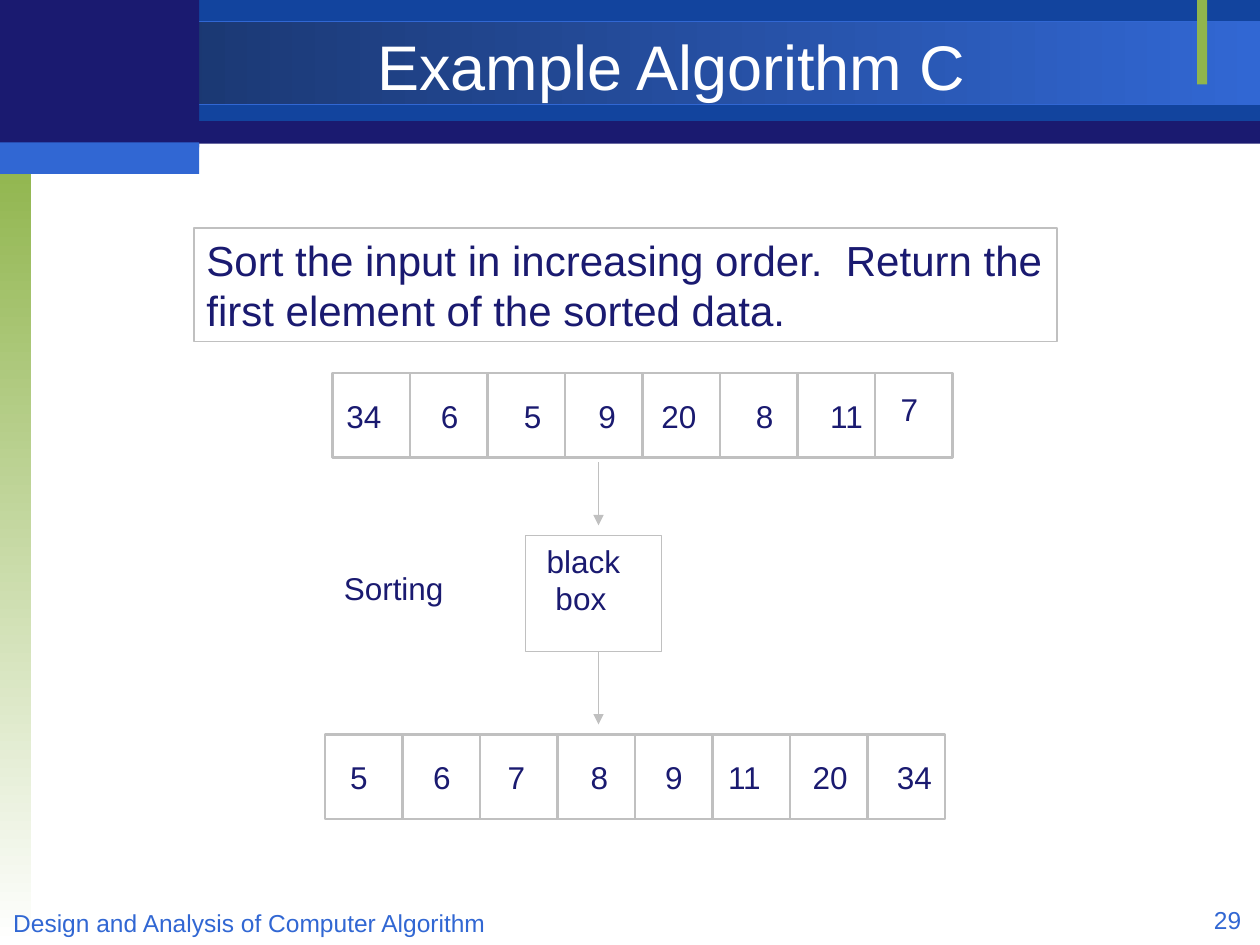
from dataclasses import dataclass

import lxml.etree
import pptx
import pptx.dml.color
import pptx.enum.shapes
import pptx.enum.text
import pptx.oxml.ns
import pptx.util

Inches = pptx.util.Inches
Pt = pptx.util.Pt
Align = pptx.enum.text.PP_ALIGN
Anchor = pptx.enum.text.MSO_ANCHOR


@dataclass(frozen=True)
class Theme:
    navy: str = "1A1A70"
    band_blue: str = "12449E"
    dark_blue: str = "173062"
    bright_blue: str = "3167D3"
    green: str = "90B54D"
    white: str = "FFFFFF"
    grey: str = "C0C0C0"
    font: str = "Arial"
    title_size: int = 36
    statement_size: int = 24
    body_size: int = 18
    footer_size: int = 14
    thin: float = 0.75
    thick: float = 1.5


THEME = Theme()
CELL_WIDTH = 0.615
CELL_HEIGHT = 0.67


def rgb(color):
    return pptx.dml.color.RGBColor.from_string(color)


def add_rect(slide, left, top, width, height, fill=None, line=None,
             weight=THEME.thin, angle=0):
    """Rectangle; a pair of colours as fill makes a gradient."""
    rect = slide.shapes.add_shape(
        pptx.enum.shapes.MSO_SHAPE.RECTANGLE,
        Inches(left), Inches(top), Inches(width), Inches(height))
    rect.shadow.inherit = False
    if fill is None:
        rect.fill.background()
    elif isinstance(fill, tuple):
        rect.fill.gradient()
        rect.fill.gradient_angle = angle
        for stop, color in zip(rect.fill.gradient_stops, fill):
            stop.color.rgb = rgb(color)
    else:
        rect.fill.solid()
        rect.fill.fore_color.rgb = rgb(fill)
    if line:
        rect.line.color.rgb = rgb(line)
        rect.line.width = Pt(weight)
    else:
        rect.line.fill.background()


def add_text(slide, left, top, width, height, lines, size=THEME.body_size,
             color=THEME.navy, align=Align.LEFT, anchor=Anchor.TOP,
             wrap=False, indents=()):
    box = slide.shapes.add_textbox(
        Inches(left), Inches(top), Inches(width), Inches(height))
    frame = box.text_frame
    frame.word_wrap = wrap
    frame.vertical_anchor = anchor
    frame.text = "\n".join(lines)
    for paragraph in frame.paragraphs:
        paragraph.alignment = align
        paragraph.font.name = THEME.font
        paragraph.font.size = Pt(size)
        paragraph.font.color.rgb = rgb(color)
    for paragraph, indent in zip(frame.paragraphs, indents):
        paragraph._p.get_or_add_pPr().set("marL", str(Inches(indent)))


def add_down_arrow(slide, x, top, bottom):
    arrow = slide.shapes.add_connector(
        pptx.enum.shapes.MSO_CONNECTOR.STRAIGHT,
        Inches(x), Inches(top), Inches(x), Inches(bottom))
    arrow.line.color.rgb = rgb(THEME.grey)
    arrow.line.width = Pt(THEME.thin)
    qn = pptx.oxml.ns.qn
    lxml.etree.SubElement(arrow.line._get_or_add_ln(), qn("a:tailEnd"), type="triangle")
    lxml.etree.SubElement(arrow._element.spPr, qn("a:effectLst"))


def add_array(slide, left, top, numbers):
    """Row of cells; each number comes with the left and top of its label."""
    for index, (number, label_left, label_top) in enumerate(numbers):
        add_rect(slide, left + index * CELL_WIDTH, top, CELL_WIDTH, CELL_HEIGHT,
                 line=THEME.grey, weight=THEME.thick)
        label_width = 0.34 if number < 10 else 0.48
        add_text(slide, label_left, label_top, label_width, 0.4, [str(number)])


def add_header(slide):
    add_rect(slide, 0, 0.01, 10, 1.13, THEME.navy)
    add_rect(slide, 1.58, 0, 8.42, 0.96, THEME.band_blue)
    add_rect(slide, 0, 0.17, 10, 0.66, (THEME.dark_blue, THEME.bright_blue),
             line=THEME.bright_blue)
    add_rect(slide, 0, 1.25, 0.25, 6.25, (THEME.green, THEME.white), angle=270)
    add_rect(slide, 9.5, 0, 0.08, 0.67, THEME.green)
    add_rect(slide, 0, 0, 1.58, 1.17, THEME.navy)
    add_rect(slide, 0, 1.13, 1.58, 0.25, THEME.bright_blue)
    add_text(slide, 1.58, 0.23, 7.5, 0.58, ["Example Algorithm C"],
             THEME.title_size, THEME.white, Align.CENTER, Anchor.MIDDLE, wrap=True)


def add_footer(slide):
    add_text(slide, -0.02, 7.16, 4, 0.27,
             ["Design and Analysis of Computer Algorithm"],
             THEME.footer_size, THEME.bright_blue, Align.CENTER, wrap=True)
    add_text(slide, 7.62, 7.13, 2.33, 0.27, ["29"],
             THEME.footer_size, THEME.bright_blue, Align.RIGHT, wrap=True)


def main():
    deck = pptx.Presentation()
    deck.slide_width = Inches(10)
    deck.slide_height = Inches(7.5)
    slide = deck.slides.add_slide(deck.slide_layouts[6])

    add_header(slide)

    # Problem statement
    add_rect(slide, 1.54, 1.81, 6.85, 0.9, line=THEME.grey)
    add_text(slide, 1.54, 1.81, 6.85, 0.9,
             ["Sort the input in increasing order.  Return the",
              "first element of the sorted data."], THEME.statement_size)

    # Unsorted input
    add_array(slide, 2.64, 2.96, [
        (34, 2.65, 3.1), (6, 3.4, 3.1), (5, 4.06, 3.1), (9, 4.65, 3.1),
        (20, 5.15, 3.1), (8, 5.9, 3.1), (11, 6.49, 3.1), (7, 7.05, 3.05)])

    # Sorting step
    add_down_arrow(slide, 4.75, 3.67, 4.17)
    add_rect(slide, 4.17, 4.25, 1.08, 0.92, line=THEME.grey)
    add_text(slide, 4.17, 4.25, 1.08, 0.7, ["black", "box"],
             wrap=True, indents=(0.07, 0.14))
    add_text(slide, 2.63, 4.47, 0.99, 0.4, ["Sorting"])
    add_down_arrow(slide, 4.75, 5.17, 5.75)

    # Sorted output
    add_array(slide, 2.58, 5.83, [
        (5, 2.68, 5.97), (6, 3.34, 5.97), (7, 3.93, 5.97), (8, 4.59, 5.97),
        (9, 5.18, 5.97), (11, 5.68, 5.97), (20, 6.35, 5.97), (34, 7.02, 5.97)])

    add_footer(slide)
    deck.save("out.pptx")


if __name__ == "__main__":
    main()
